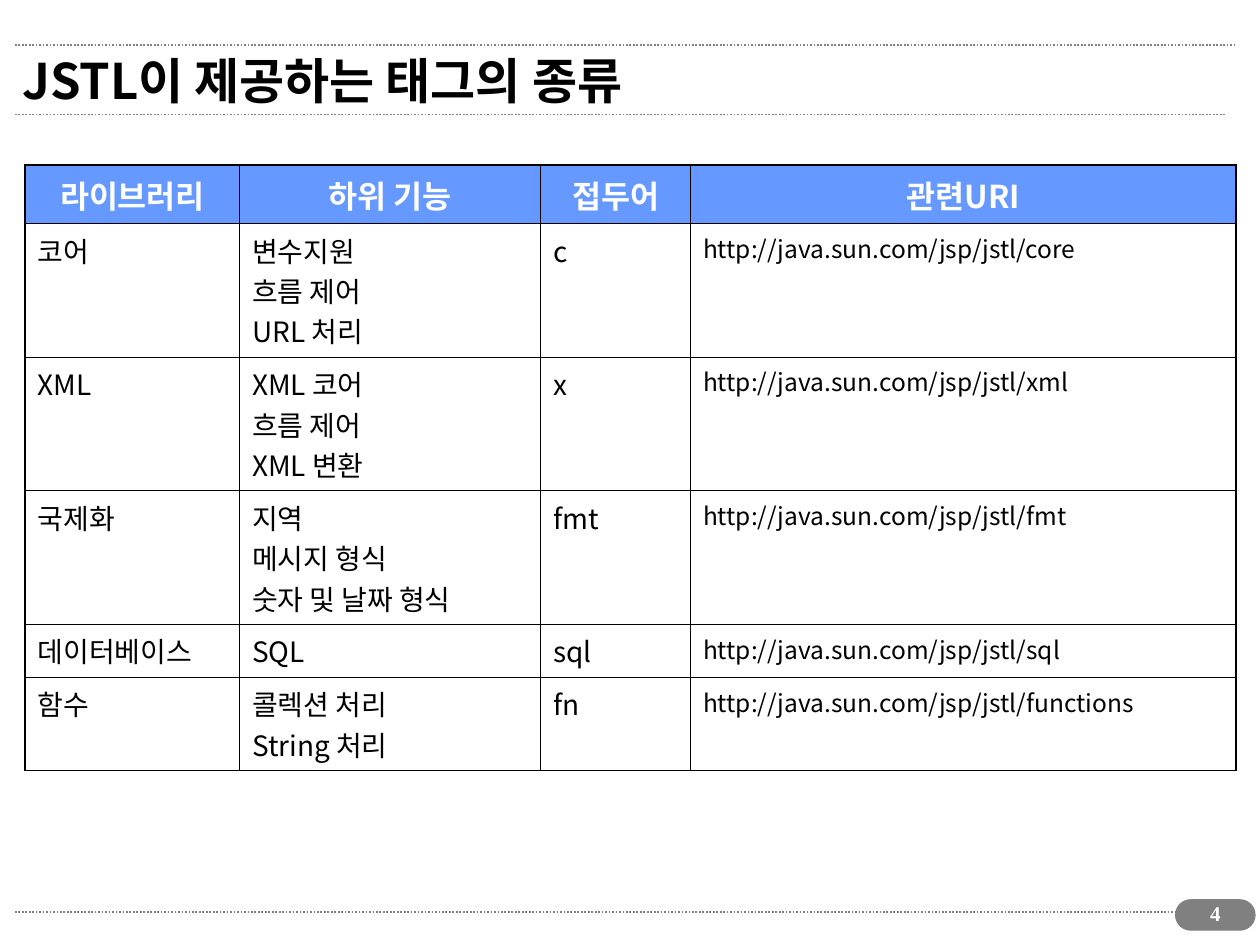
from dataclasses import dataclass

from lxml import etree
from pptx import Presentation
from pptx.dml.color import RGBColor
from pptx.enum.dml import MSO_LINE
from pptx.enum.shapes import MSO_CONNECTOR, MSO_SHAPE
from pptx.enum.text import MSO_ANCHOR, MSO_AUTO_SIZE, PP_ALIGN
from pptx.oxml import parse_xml
from pptx.oxml.ns import nsdecls, qn
from pptx.util import Cm, Pt

LEFT, CENTER = PP_ALIGN.LEFT, PP_ALIGN.CENTER
MIDDLE = MSO_ANCHOR.MIDDLE
NO_FIT = MSO_AUTO_SIZE.NONE
DOTTED = MSO_LINE.ROUND_DOT
STRAIGHT = MSO_CONNECTOR.STRAIGHT
PILL = MSO_SHAPE.ROUNDED_RECTANGLE

TITLE = "JSTL이 제공하는 태그의 종류"
PAGE_NUMBER = "4"
HEADINGS = ["라이브러리", "하위 기능", "접두어", "관련URI"]
URI_ROOT = "http://java.sun.com/jsp/jstl/"
LIBRARIES = [
    ("코어", ["변수지원", "흐름 제어", "URL 처리"], "c", "core"),
    ("XML", ["XML 코어", "흐름 제어", "XML 변환"], "x", "xml"),
    ("국제화", ["지역", "메시지 형식", "숫자 및 날짜 형식"], "fmt", "fmt"),
    ("데이터베이스", ["SQL"], "sql", "sql"),
    ("함수", ["콜렉션 처리", "String 처리"], "fn", "functions"),
]
COLUMN_WIDTHS = [4.32, 6.07, 3.02, 11]
HEADER_HEIGHT = 1.02
ROW_HEIGHTS = {1: 0.94, 2: 1.63, 3: 2.29}
RULES = [(18.39, 24.71), (2.31, 24.69), (0.91, 24.89)]
RULE_LEFT = 0.3


@dataclass(frozen=True)
class Theme:
    font: str = "Noto Sans CJK KR"
    number_font: str = "Times New Roman"
    black: str = "000000"
    white: str = "FFFFFF"
    gray: str = "808080"
    header: str = "6699FF"
    title_size: int = 28
    header_size: int = 18
    body_size: int = 16
    uri_size: int = 14
    number_size: int = 12
    outer_border: float = 1.08
    inner_border: float = 0.45


THEME = Theme()


def color(value):
    return RGBColor.from_string(value)


def write(frame, lines, size, ink, bold=False, align=LEFT, name=THEME.font):
    frame.text = "\n".join(lines)
    for para in frame.paragraphs:
        para.alignment = align
        font = para.font
        font.name, font.size, font.bold = name, Pt(size), bold
        font.color.rgb = color(ink)
        latin = font._element.find(qn("a:latin"))
        east_asian = etree.Element(qn("a:ea"), typeface=name)
        latin.addnext(east_asian)


def set_borders(cell, widths):
    properties = cell._tc.get_or_add_tcPr()
    for index, (side, width) in enumerate(widths.items()):
        properties.insert(index, parse_xml(
            f'<a:ln{side} {nsdecls("a")} w="{int(Pt(width))}"><a:solidFill>'
            f'<a:srgbClr val="{THEME.black}"/></a:solidFill></a:ln{side}>'))


def add_rules(page):
    for top, right in RULES:
        rule = page.shapes.add_connector(
            STRAIGHT, Cm(RULE_LEFT), Cm(top), Cm(right), Cm(top))
        rule.line.color.rgb = color(THEME.gray)
        rule.line.width = Pt(1)
        rule.line.dash_style = DOTTED
        etree.SubElement(rule._element.spPr, qn("a:effectLst"))


def add_title(page):
    title = page.shapes.title
    title.left, title.top = Cm(0.2), Cm(0.71)
    title.width, title.height = Cm(23.11), Cm(1.8)
    frame = title.text_frame
    frame.auto_size, frame.vertical_anchor = NO_FIT, MIDDLE
    write(frame, [TITLE], THEME.title_size, THEME.black, bold=True)


def add_library_table(page):
    rows = [[[heading] for heading in HEADINGS]]
    rows += [[[library], features, [prefix], [URI_ROOT + ending]]
             for library, features, prefix, ending in LIBRARIES]
    heights = [HEADER_HEIGHT] + [ROW_HEIGHTS[len(row[1])] for row in rows[1:]]
    table = page.shapes.add_table(
        len(rows), len(HEADINGS), Cm(0.51), Cm(3.33),
        Cm(sum(COLUMN_WIDTHS)), Cm(sum(heights))).table
    table.first_row = table.horz_banding = False
    for column, width in zip(table.columns, COLUMN_WIDTHS):
        column.width = Cm(width)
    last_row, last_column = len(rows) - 1, len(HEADINGS) - 1
    for r, row in enumerate(rows):
        table.rows[r].height = Cm(heights[r])
        for c, lines in enumerate(row):
            cell = table.cell(r, c)
            if r == 0:
                cell.fill.solid()
                cell.fill.fore_color.rgb = color(THEME.header)
                write(cell.text_frame, lines, THEME.header_size, THEME.white,
                      bold=True, align=CENTER)
            else:
                cell.fill.background()
                size = THEME.uri_size if c == last_column else THEME.body_size
                write(cell.text_frame, lines, size, THEME.black)
            edges = {"L": c == 0, "R": c == last_column,
                     "T": r == 0, "B": r == last_row}
            set_borders(cell, {
                side: THEME.outer_border if outer else THEME.inner_border
                for side, outer in edges.items()})


def add_page_number(page):
    pill = page.shapes.add_shape(PILL, Cm(23.7), Cm(18.14), Cm(1.6), Cm(0.61))
    pill.adjustments[0] = 0.5
    pill.shadow.inherit = False
    pill.fill.solid()
    pill.fill.fore_color.rgb = color(THEME.gray)
    pill.line.color.rgb = color(THEME.gray)
    pill.line.width = Pt(0.75)
    box = page.shapes.add_textbox(Cm(23.8), Cm(18.03), Cm(1.4), Cm(0.86))
    box.text_frame.word_wrap = True
    write(box.text_frame, [PAGE_NUMBER], THEME.number_size, THEME.white,
          bold=True, align=CENTER, name=THEME.number_font)


def main():
    deck = Presentation()
    deck.slide_width, deck.slide_height = Cm(25.4), Cm(19.05)
    page = deck.slides.add_slide(deck.slide_layouts.get_by_name("Title Only"))
    add_rules(page)
    add_title(page)
    add_library_table(page)
    add_page_number(page)
    deck.save("out.pptx")


if __name__ == "__main__":
    main()
